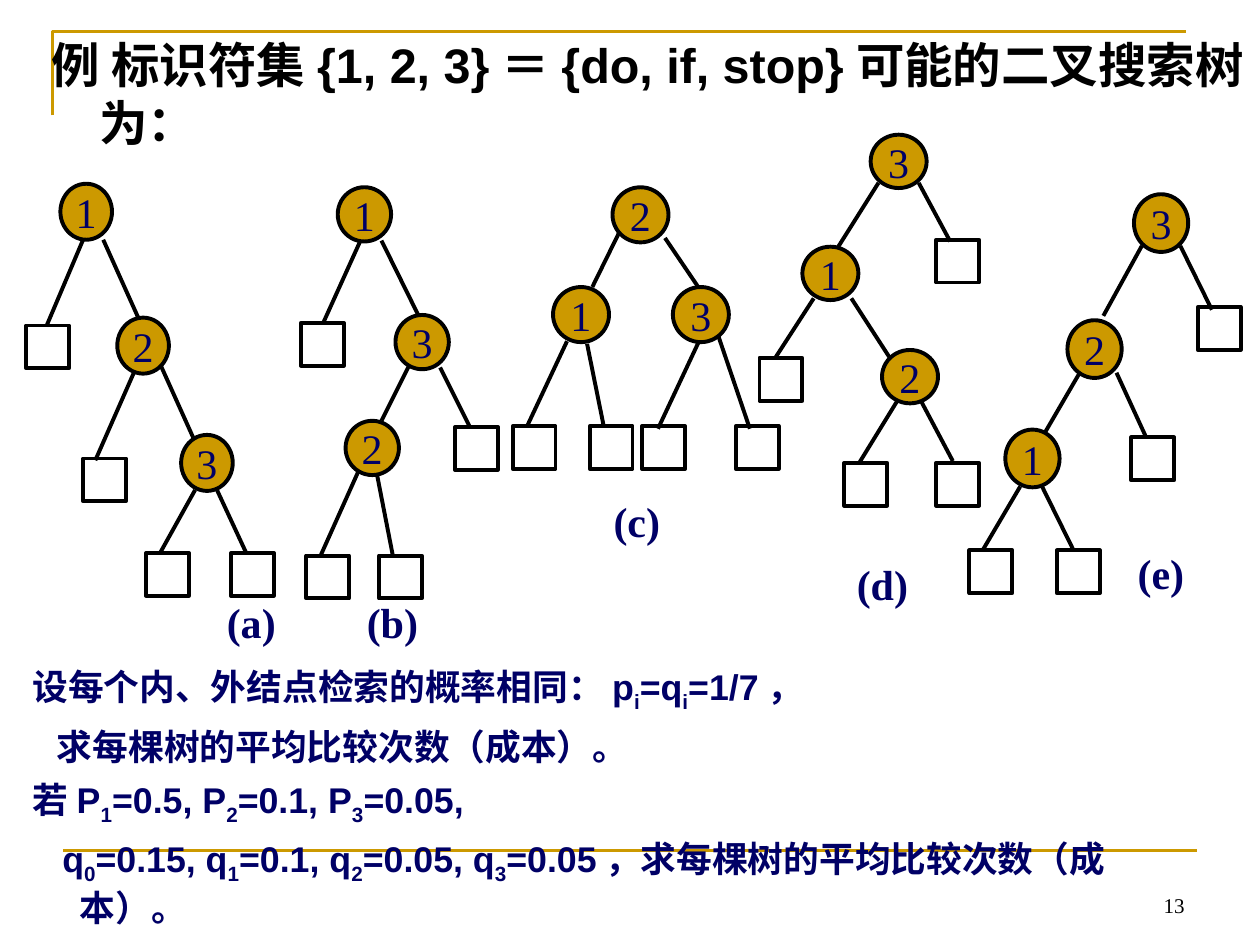
from dataclasses import dataclass

from lxml import etree
from pptx import Presentation
from pptx.dml.color import RGBColor
from pptx.enum import shapes, text
from pptx.oxml import ns
from pptx.util import Pt

GOLD = RGBColor(0xCC, 0x99, 0x00)
NAVY = RGBColor(0x00, 0x00, 0x66)
BLACK = RGBColor(0x00, 0x00, 0x00)
SANS, SERIF = "Arial", "Times New Roman"
LEAF_SIDE = 24.5
HANGING = 27


@dataclass
class Tree:
    """A search tree; every position is relative to its origin, in points."""
    label: str
    origin: tuple
    label_at: tuple
    node_size: tuple
    nodes: dict   # key: (left, top)
    leaves: list  # (left, top)
    edges: list   # (x1, y1, x2, y2)


TREES = [
    Tree("(a)", (15, 105), (107.5, 232.5), (29.5, 32),
         {"1": (19.5, 0), "2": (52, 76.5), "3": (88.5, 143.5)},
         [(0, 81), (32.5, 157), (68.5, 211), (117, 211)],
         [(32.5, 32, 11.5, 81.5), (44, 32, 64, 76.5),
          (61.5, 108, 39.5, 158), (76.5, 103, 96.5, 147.5),
          (96.5, 175, 76.5, 211), (109, 175, 125.5, 210.5)]),
    Tree("(b)", (172, 107), (30.5, 230.5), (30.5, 31),
         {"1": (21, 0), "3": (54, 73), "2": (25.5, 133.5)},
         [(0, 77.5), (88, 137), (3, 210.5), (44.5, 210.5)],
         [(34, 30.5, 12.5, 78), (46, 30.5, 67, 73),
          (61.5, 102.5, 46, 133.5), (79.5, 103, 96.5, 137),
          (32.5, 163, 11, 211), (43.5, 164.5, 52.5, 210.5)]),
    Tree("(c)", (293, 107), (50.5, 172.5), (32, 31.5),
         {"2": (57, 0), "1": (23, 57), "3": (91.5, 57)},
         [(0, 136.5), (44, 136.5), (74, 136.5), (127.5, 136.5)],
         [(61, 25.5, 45.5, 57), (87, 29, 106, 57),
          (31, 88, 8, 137), (42.5, 89.5, 52, 136.5),
          (106, 89, 83, 138), (117.5, 85, 135.5, 138)]),
    Tree("(d)", (434, 77), (48.5, 238.5), (32, 30.5),
         {"3": (63.5, 0), "1": (24.5, 64), "2": (70, 123)},
         [(101, 60), (0, 127.5), (48.5, 187.5), (101, 187.5)],
         [(68, 27.5, 45, 64), (91, 27.5, 109, 61),
          (31, 93.5, 9, 127.5), (52.5, 93.5, 74.5, 127.5),
          (78.5, 152.5, 57, 187.5), (92.5, 152.5, 110.5, 186.5)]),
    Tree("(e)", (554, 111), (89, 198.5), (31, 33),
         {"3": (94, 0), "2": (56, 72), "1": (20.5, 134.5)},
         [(130.5, 64.5), (92.5, 139), (0, 203.5), (50, 203.5)],
         [(98.5, 29.5, 76.5, 69.5), (120.5, 29.5, 138.5, 66),
          (63, 102, 41.5, 139), (84, 102, 101, 139),
          (29, 167, 7.5, 203.5), (41.5, 167, 59.5, 203.5)]),
]

# Text with "_" before each subscript character, and its first-line indent
QUESTIONS = [
    ("设每个内、外结点检索的概率相同：p_i=q_i=1/7，", -HANGING),
    ("求每棵树的平均比较次数（成本）。", -13),
    ("若P_1=0.5, P_2=0.1, P_3=0.05,", -HANGING),
    ("q_0=0.15, q_1=0.1, q_2=0.05, q_3=0.05，求每棵树的平均比较次数（成本）。", -10),
]


def set_font(paragraph, name, size, color, bold=False):
    font = paragraph.font
    font.name, font.size, font.bold = name, Pt(size), bold
    font.color.rgb = color


def set_indent(paragraph, first_line):
    properties = paragraph._p.get_or_add_pPr()
    properties.set("marL", str(Pt(HANGING)))
    properties.set("indent", str(Pt(first_line)))


def set_line(shape, color, width):
    shape.line.color.rgb = color
    shape.line.width = Pt(width)


def add_line(slide, ends, color, width):
    line = slide.shapes.add_connector(shapes.MSO_CONNECTOR.STRAIGHT,
                                      *(Pt(end) for end in ends))
    set_line(line, color, width)
    etree.SubElement(line._element.spPr, ns.qn("a:effectLst"))


def add_outlined(slide, preset, left, top, width, height):
    shape = slide.shapes.add_shape(preset, Pt(left), Pt(top), Pt(width), Pt(height))
    shape.shadow.inherit = False
    set_line(shape, BLACK, 2.25)
    return shape


def add_textbox(slide, left, top, width, height, wrap=True):
    frame = slide.shapes.add_textbox(Pt(left), Pt(top), Pt(width), Pt(height)).text_frame
    frame.word_wrap = wrap
    return frame


def add_frame_lines(slide, left, top, width, height):
    builder = slide.shapes.build_freeform(Pt(left), Pt(top + height))
    builder.add_line_segments([(Pt(left), Pt(top)), (Pt(left + width), Pt(top))], close=False)
    corner = builder.convert_to_shape()
    corner.shadow.inherit = False
    corner.fill.background()
    set_line(corner, GOLD, 1.5)
    add_line(slide, (left + 6, top + 468, left + width + 6, top + 468), GOLD, 1.5)


def add_title(slide, left, top, width, height):
    title = slide.shapes.title
    title.left, title.top, title.width, title.height = map(Pt, (left, top, width, height))
    frame = title.text_frame
    frame.text = "例 标识符集{1, 2, 3}＝{do, if, stop}可能的二叉搜索树为："
    frame.vertical_anchor = text.MSO_ANCHOR.TOP
    frame.auto_size = text.MSO_AUTO_SIZE.NONE
    heading = frame.paragraphs[0]
    heading.alignment = text.PP_ALIGN.LEFT
    set_indent(heading, -HANGING)
    set_font(heading, SANS, 27.7, BLACK, bold=True)
    title._element.getparent().append(title._element)  # in front of the frame lines


def add_tree(slide, tree):
    x, y = tree.origin
    for x1, y1, x2, y2 in tree.edges:
        add_line(slide, (x + x1, y + y1, x + x2, y + y2), BLACK, 2.25)
    for left, top in tree.leaves:
        leaf = add_outlined(slide, shapes.MSO_SHAPE.RECTANGLE,
                            x + left, y + top, LEAF_SIDE, LEAF_SIDE)
        leaf.fill.background()
    for key, (left, top) in tree.nodes.items():
        node = add_outlined(slide, shapes.MSO_SHAPE.OVAL, x + left, y + top, *tree.node_size)
        node.fill.solid()
        node.fill.fore_color.rgb = GOLD
        frame = node.text_frame
        frame.word_wrap = False
        frame.text = key
        frame.paragraphs[0].alignment = text.PP_ALIGN.CENTER
        set_font(frame.paragraphs[0], SERIF, 24, NAVY)
    left, top = tree.label_at
    caption = add_textbox(slide, x + left, y + top, 48, 36, wrap=False)
    caption.text = tree.label
    set_font(caption.paragraphs[0], SERIF, 24, NAVY, bold=True)


def add_questions(slide, left, top, width, height):
    frame = add_textbox(slide, left, top, width, height)
    for index, (question, first_line) in enumerate(QUESTIONS):
        paragraph = frame.add_paragraph() if index else frame.paragraphs[0]
        if index:
            paragraph.space_before = Pt(6)
        set_indent(paragraph, first_line)
        set_font(paragraph, SANS, 20.4, NAVY, bold=True)
        start, *rest = question.split("_")
        paragraph.add_run().text = start
        for part in rest:
            subscript = paragraph.add_run()
            subscript.text = part[0]
            subscript._r.get_or_add_rPr().set("baseline", "-25000")
            paragraph.add_run().text = part[1:]


def add_page_number(slide, left, top, width, height):
    frame = add_textbox(slide, left, top, width, height)
    frame.vertical_anchor = text.MSO_ANCHOR.BOTTOM
    frame.text = "13"
    frame.paragraphs[0].alignment = text.PP_ALIGN.RIGHT
    set_font(frame.paragraphs[0], SERIF, 12, BLACK)


def main():
    deck = Presentation()
    deck.slide_width, deck.slide_height = Pt(720), Pt(540)
    slide = deck.slides.add_slide(deck.slide_layouts[5])
    add_frame_lines(slide, 30, 18, 648, 48)
    add_page_number(slide, 516, 492, 168, 36)
    add_title(slide, 22.5, 16.5, 708.5, 78.5)
    for tree in TREES:
        add_tree(slide, tree)
    add_questions(slide, 11.5, 376.5, 662, 143.5)
    deck.save("out.pptx")


if __name__ == "__main__":
    main()
